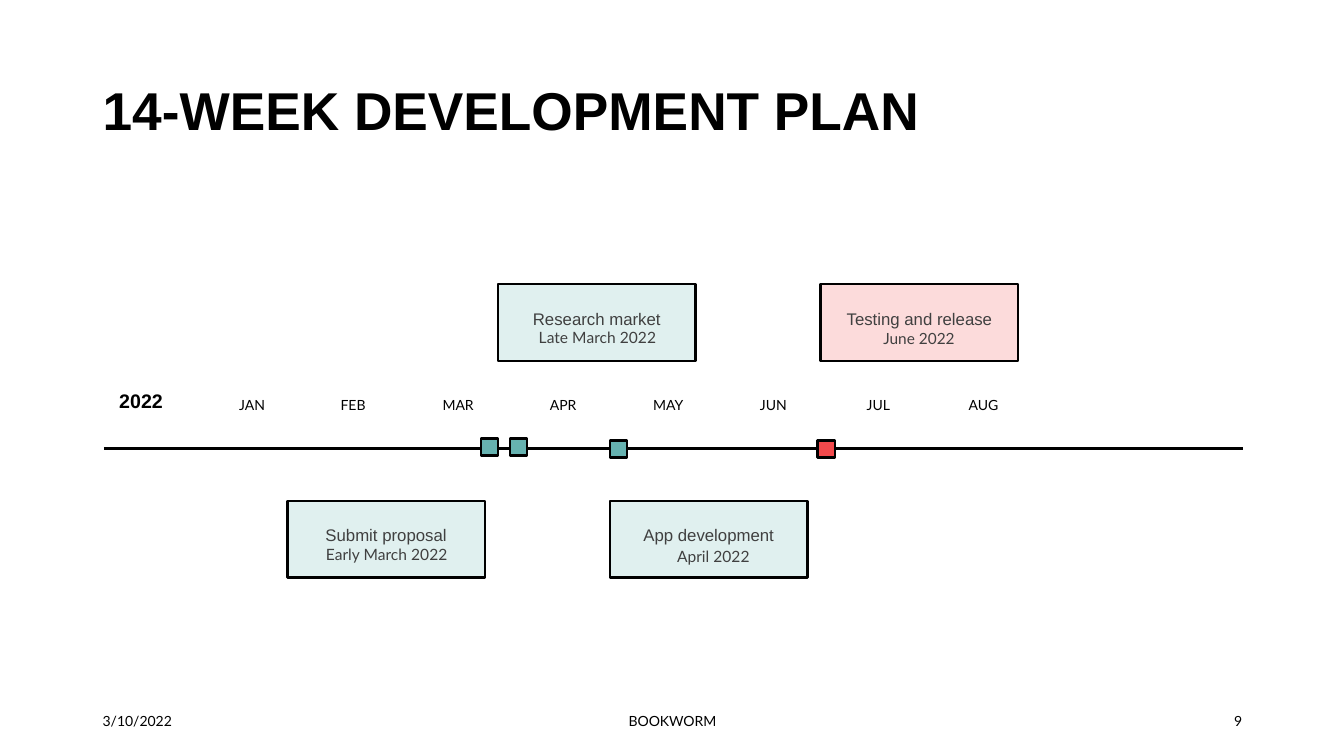
from lxml.etree import SubElement as Sub
from pptx import Presentation as Deck
from pptx.dml.color import RGBColor as Rgb
from pptx.enum.shapes import MSO_CONNECTOR as Conn, MSO_SHAPE as Kind
from pptx.enum.text import MSO_ANCHOR as Anchor, PP_ALIGN as Align
from pptx.oxml.ns import qn
from pptx.util import Inches, Pt

HUES = {"ink": "000000", "gray": "404040", "mint": "E0F0EF", "pink": "FCDBDB",
        "teal": "66B2B0", "red": "F2494C"}
HEAD, BODY = "Arial", "Lato"


class Board:
    """Style and slide; lengths are columns and rows of a 0.1 inch grid."""

    def __init__(self, deck):
        self.unit = Inches(0.1)
        self.slide = deck.slides.add_slide(deck.slide_layouts[6])
        self.shapes = self.slide.shapes

    def grid(self, *cells):
        return [round(cell * self.unit) for cell in cells]

    def hue(self, name):
        return Rgb.from_string(HUES[name])

    def label(self, shape, text, size, font, hue="ink", bold=False,
              align=Align.CENTER, anchor=Anchor.TOP, lead=0.9, gap=10):
        frame = shape.text_frame
        frame.word_wrap = True
        frame.vertical_anchor = anchor
        para = frame.paragraphs[0]
        para.alignment = align
        para.line_spacing = lead
        para.space_before = Pt(gap)
        run = para.add_run()
        run.text = text
        run.font.size = Pt(size)
        run.font.name = font
        run.font.bold = bold
        run.font.color.rgb = self.hue(hue)

    def text(self, box, text, size, font=BODY, **look):
        self.label(self.shapes.add_textbox(*self.grid(*box)), text, size, font, **look)

    def rect(self, box, fill):
        rect = self.shapes.add_shape(Kind.RECTANGLE, *self.grid(*box))
        rect.shadow.inherit = False
        rect.fill.solid()
        rect.fill.fore_color.rgb = self.hue(fill)
        rect.line.color.rgb = self.hue("ink")
        rect.line.width = Pt(1.75)
        return rect

    def card(self, left, top, fill, name, date, shift, drop, size=11.1, lead=0.7):
        """Draw a milestone box with its date, set off by shift and drop."""
        rect = self.rect((left, top, 19.6, 7.6), fill)
        rect.text_frame.margin_top = Inches(0.04)
        self.label(rect, name, 12, HEAD, "gray", lead=2)
        self.text((left + shift, top + drop, 18.5, 2.5), date, size,
                  hue="gray", lead=lead)

    def line(self, *ends):
        line = self.shapes.add_connector(Conn.STRAIGHT, *self.grid(*ends))
        line.line.color.rgb = self.hue("ink")
        line.line.width = Pt(2)
        Sub(line._element.spPr, qn("a:effectLst"))


def main():
    deck = Deck()
    deck.slide_width, deck.slide_height = Inches(13.33), Inches(7.5)
    board = Board(deck)

    board.line(10.3, 44.5, 123.3, 44.5)
    board.text((9.2, 4, 115, 14.5), "14-WEEK DEVELOPMENT PLAN", 38, HEAD,
               bold=True, align=Align.LEFT, anchor=Anchor.MIDDLE)

    high, low = 28.2, 49.7
    board.card(28.5, low, "mint", "Submit proposal", "Early March 2022", 0.6, 4.4)
    board.card(49.4, high, "mint", "Research market", "Late March 2022", 0.6, 4.4)
    board.card(81.4, high, "pink", "Testing and release", "June 2022", 0.5, 4.2, 11, 0.9)
    board.card(60.5, low, "mint", "App development", "April 2022", 1, 4.6)

    board.text((10, 37.4, 8, 5), "2022", 14, HEAD, bold=True, anchor=Anchor.MIDDLE)
    months = ["JAN", "FEB", "MAR", "APR", "MAY", "JUN", "JUL", "AUG"]
    for step, month in enumerate(months):
        left = max(21.5, 21.1 + 10.42 * step)
        board.text((left, 39, 7, 3), month, 10)

    marks = [(47.7, 43.5, "teal"), (50.6, 43.5, "teal"),
             (60.5, 43.7, "teal"), (81.1, 43.7, "red")]
    for left, top, fill in marks:
        board.rect((left, top, 1.7, 1.7), fill)

    feet = [(9.2, 30, "3/10/2022", Align.LEFT), (44.2, 45, "BOOKWORM", Align.CENTER),
            (94.2, 30, "9", Align.RIGHT)]
    for left, width, note, align in feet:
        board.text((left, 69.5, width, 4), note, 10, align=align,
                   anchor=Anchor.MIDDLE, lead=1, gap=0)

    deck.save("out.pptx")


if __name__ == "__main__":
    main()
